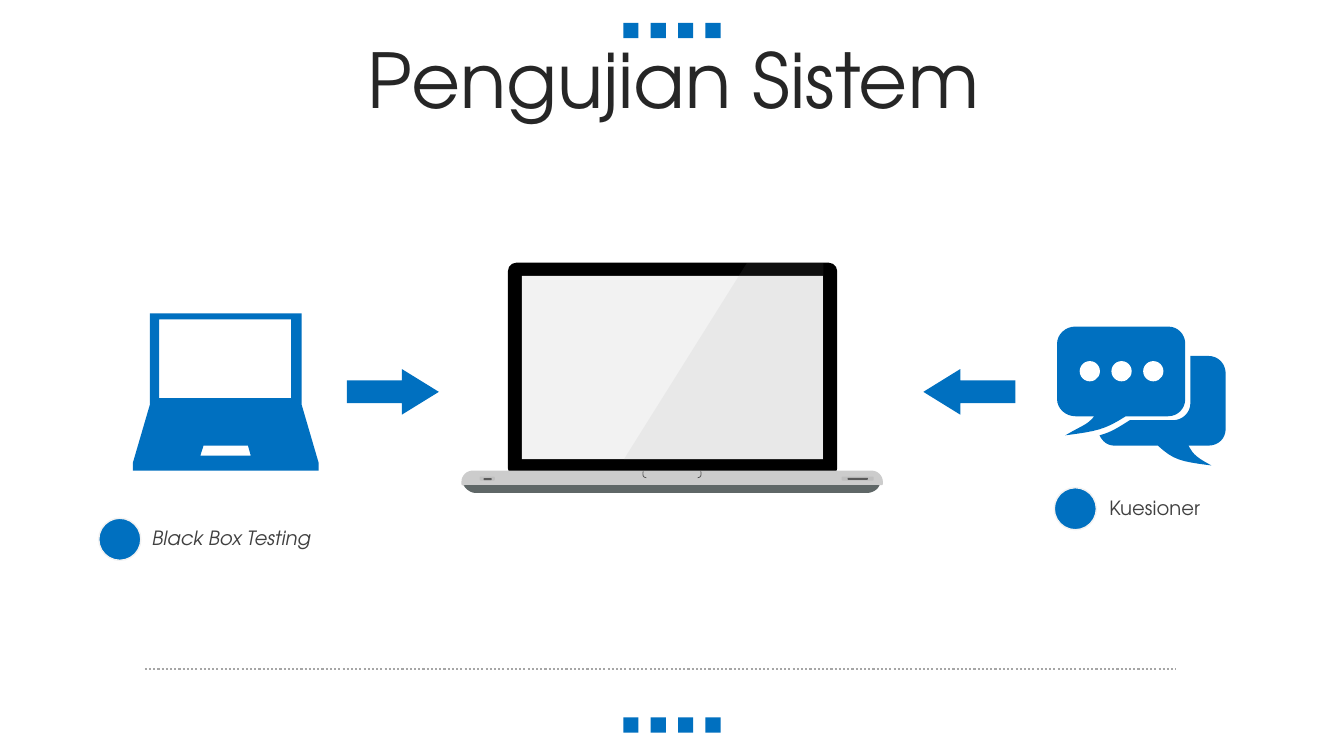
"""Build the system testing slide: two test methods pointing at a laptop."""
from lxml import etree
from pptx import Presentation
from pptx.dml.color import RGBColor
from pptx.enum.dml import MSO_LINE
from pptx.enum.shapes import MSO_CONNECTOR, MSO_SHAPE
from pptx.enum.text import MSO_ANCHOR, PP_ALIGN
from pptx.oxml.ns import qn
from pptx.util import Cm, Pt

RECT, ROUND, OVAL = MSO_SHAPE.RECTANGLE, MSO_SHAPE.ROUNDED_RECTANGLE, MSO_SHAPE.OVAL
RIGHT_ARROW, LEFT_ARROW = MSO_SHAPE.RIGHT_ARROW, MSO_SHAPE.LEFT_ARROW
STRAIGHT, DOTTED = MSO_CONNECTOR.STRAIGHT, MSO_LINE.ROUND_DOT
MIDDLE, LEFT, CENTER = MSO_ANCHOR.MIDDLE, PP_ALIGN.LEFT, PP_ALIGN.CENTER

BLUE = RGBColor(0x00, 0x70, 0xC0)
BLACK = RGBColor(0x00, 0x00, 0x00)
WHITE = RGBColor(0xFF, 0xFF, 0xFF)
TITLE_INK = RGBColor(0x26, 0x26, 0x26)
LABEL_INK = RGBColor(0x40, 0x40, 0x40)
NOTCH = RGBColor(0x4D, 0x4D, 0x4D)
SLOT = RGBColor(0x59, 0x59, 0x59)
UNDERSIDE = RGBColor(0x5F, 0x67, 0x67)
GLARE = RGBColor(0x99, 0x99, 0x99)
RULE = RGBColor(0xA6, 0xA6, 0xA6)
PORT = RGBColor(0xBF, 0xBF, 0xBF)
BASE = RGBColor(0xCC, 0xCC, 0xCC)
PALE = RGBColor(0xF2, 0xF2, 0xF2)

FONT = "TeX Gyre Adventor"
WIDTH, HEIGHT = 33.87, 19.05

TITLE = ("Pengujian Sistem", (0.89, 1.12, 32.16, 2.01), 54, TITLE_INK, CENTER, False)
LABELS = [
    ("Black Box Testing", (3.58, 13.08, 5.16, 0.99), 14, LABEL_INK, LEFT, True),
    ("Kuesioner", (27.71, 12.34, 5.05, 0.99), 14, LABEL_INK, LEFT, False),
]
BULLETS = [(2.49, 13.06), (26.57, 12.29)]
BULLET_SIZE = 1.06
ARROWS = [(RIGHT_ARROW, 8.74), (LEFT_ARROW, 23.27)]
ARROW_TOP, ARROW_W, ARROW_H = 9.3, 2.32, 1.15
SQUARE_ROWS = [0.58, 18.08]
SQUARE_COUNT, SQUARE_SIZE, SQUARE_PITCH = 4, 0.38, 0.69
DIVIDER = (3.65, 29.64, 16.86)

LID = (12.8, 6.62, 8.3, 5.39)
SCREEN = (13.15, 6.95, 7.59, 4.62)
PORTS = [
    ((12.09, 12.01, 0.38, 0.1), PORT),
    ((12.19, 12.05, 0.2, 0.05), SLOT),
    ((21.21, 12.01, 0.81, 0.1), PORT),
    ((21.36, 12.04, 0.51, 0.05), SLOT),
]

# Pairs are corners; six numbers are a Bézier curve's two controls and end.
UNDERSIDE_EDGE = [(21.89, 12.42), (21.89, 12.42, 22.1, 12.4, 22.17, 12.22),
                  (11.68, 12.22), (11.76, 12.37, 11.91, 12.42, 11.96, 12.42)]
BASE_EDGE = [(11.91, 11.86), (21.97, 11.86),
             (22.12, 11.86, 22.25, 11.99, 22.25, 12.14), (22.25, 12.19),
             (22.25, 12.24, 22.2, 12.23, 22.12, 12.22), (11.73, 12.22),
             (11.68, 12.24, 11.63, 12.24, 11.63, 12.19), (11.63, 12.14),
             (11.63, 11.99, 11.76, 11.86, 11.91, 11.86)]
NOTCH_LEFT = [(16.21, 11.88), (16.19, 11.96, 16.2, 12.03, 16.29, 12.04)]
NOTCH_RIGHT = [(17.66, 11.88), (17.68, 11.96, 17.67, 12.03, 17.58, 12.04)]
GLARE_EDGE = [(18.83, 6.62), (20.75, 6.62), (20.75, 11.58), (15.72, 11.58)]

ICON_LAPTOP = [
    [(3.78, 7.9), (7.6, 7.9), (7.6, 10.19), (8.03, 11.66), (8.03, 11.86),
     (3.35, 11.86), (3.35, 11.66), (3.78, 10.19)],
    [(4.01, 8.05), (4.01, 10.03), (7.34, 10.03), (7.34, 8.05)],
    [(5.13, 11.23), (5.05, 11.48), (6.32, 11.48), (6.25, 11.23)],
]
ICON_BUBBLES = [
    [(27.1, 8.23), (29.44, 8.23), (29.69, 8.23, 29.87, 8.43, 29.87, 8.66),
     (29.87, 10.06), (29.87, 10.29, 29.69, 10.49, 29.44, 10.49), (28.37, 10.49),
     (27.86, 10.82, 27.64, 10.87, 26.85, 10.97),
     (27.33, 10.69, 27.38, 10.72, 27.58, 10.49), (27.1, 10.49),
     (26.85, 10.49, 26.64, 10.29, 26.64, 10.06), (26.64, 8.66),
     (26.64, 8.43, 26.85, 8.23, 27.1, 8.23)],
    [(30, 8.97), (30.45, 8.97), (30.71, 8.97, 30.89, 9.17, 30.89, 9.42),
     (30.89, 10.8), (30.89, 11.05, 30.71, 11.23, 30.45, 11.23), (29.95, 11.23),
     (30.05, 11.38, 30.05, 11.48, 30.53, 11.73),
     (29.72, 11.63, 29.57, 11.58, 29.18, 11.23), (28.09, 11.23),
     (27.91, 11.23, 27.79, 11.13, 27.71, 10.97),
     (27.99, 10.9, 28.19, 10.77, 28.47, 10.59), (29.57, 10.59),
     (29.79, 10.59, 30, 10.41, 30, 10.16)],
]
TYPING_DOTS = (27.21, 9.1, 0.51, 0.8)


def paint(sp, fill=None, line=None, width=1):
    sp.shadow.inherit = False
    if fill is None:
        sp.fill.background()
    else:
        sp.fill.solid()
        sp.fill.fore_color.rgb = fill
    if line is None:
        sp.line.fill.background()
    else:
        sp.line.color.rgb = line
        sp.line.width = Pt(width)
    return sp


def add_preset(s, kind, box, fill, line=None, adjust=()):
    sp = s.shapes.add_shape(kind, *map(Cm, box))
    for i, value in enumerate(adjust):
        sp.adjustments[i] = value
    return paint(sp, fill, line)


def flatten(edge, steps=8):
    points = [edge[0]]
    for part in edge[1:]:
        if len(part) == 2:
            points.append(part)
            continue
        curve = [points[-1], part[:2], part[2:4], part[4:]]
        for i in range(1, steps + 1):
            t = i / steps
            weights = ((1 - t) ** 3, 3 * t * (1 - t) ** 2, 3 * t * t * (1 - t), t ** 3)
            points.append(tuple(sum(w * c[axis] for w, c in zip(weights, curve))
                                for axis in (0, 1)))
    return [(Cm(x), Cm(y)) for x, y in points]


def add_outline(s, edges, fill=None, line=None, width=1):
    contours = [flatten(edge) for edge in edges]
    builder = s.shapes.build_freeform(*contours[0][0])
    for i, points in enumerate(contours):
        if i:
            builder.move_to(*points[0])
        builder.add_line_segments(points[1:], close=fill is not None)
    return paint(builder.convert_to_shape(), fill, line, width)


def add_text(s, text, box, size, color, align, italic):
    tf = s.shapes.add_textbox(*map(Cm, box)).text_frame
    tf.word_wrap = True
    tf.vertical_anchor = MIDDLE
    p = tf.paragraphs[0]
    p.text = text
    p.alignment = align
    p.line_spacing = 0.9
    p.space_before = Pt(10)
    font = p.runs[0].font
    font.name, font.size, font.italic = FONT, Pt(size), italic
    font.color.rgb = color


def add_laptop(s):
    add_outline(s, [UNDERSIDE_EDGE], UNDERSIDE)
    add_preset(s, ROUND, LID, BLACK, adjust=[0.04])
    add_preset(s, RECT, SCREEN, PALE)
    add_outline(s, [BASE_EDGE], BASE)
    for notch in (NOTCH_LEFT, NOTCH_RIGHT):
        add_outline(s, [notch], line=NOTCH, width=0.5)
    for box, color in PORTS:
        add_preset(s, ROUND, box, color, adjust=[0.28])
    glare = add_outline(s, [GLARE_EDGE], GLARE)
    color = glare.fill._xPr.find(qn("a:solidFill"))[0]
    etree.SubElement(color, qn("a:alpha")).set("val", "10000")


def main():
    prs = Presentation()
    prs.slide_width, prs.slide_height = Cm(WIDTH), Cm(HEIGHT)
    s = prs.slides.add_slide(prs.slide_layouts[6])

    row_width = (SQUARE_COUNT - 1) * SQUARE_PITCH + SQUARE_SIZE
    for top in SQUARE_ROWS:
        for i in range(SQUARE_COUNT):
            x = (WIDTH - row_width) / 2 + i * SQUARE_PITCH
            add_preset(s, RECT, (x, top, SQUARE_SIZE, SQUARE_SIZE), BLUE)

    add_laptop(s)
    for kind, x in ARROWS:
        add_preset(s, kind, (x, ARROW_TOP, ARROW_W, ARROW_H), BLUE, adjust=[0.5, 0.81])

    x1, x2, y = DIVIDER
    rule = s.shapes.add_connector(STRAIGHT, Cm(x1), Cm(y), Cm(x2), Cm(y))
    rule.line.color.rgb = RULE
    rule.line.width = Pt(1.5)
    rule.line.dash_style = DOTTED
    etree.SubElement(rule._element.spPr, qn("a:effectLst"))

    add_outline(s, ICON_LAPTOP, BLUE)
    add_outline(s, ICON_BUBBLES, BLUE)
    x, y, size, pitch = TYPING_DOTS
    for i in range(3):
        add_preset(s, OVAL, (x + i * pitch, y, size, size), WHITE)
    for x, y in BULLETS:
        add_preset(s, OVAL, (x, y, BULLET_SIZE, BULLET_SIZE), BLUE, PALE)
    for item in [TITLE, *LABELS]:
        add_text(s, *item)

    prs.save("out.pptx")


if __name__ == "__main__":
    main()
